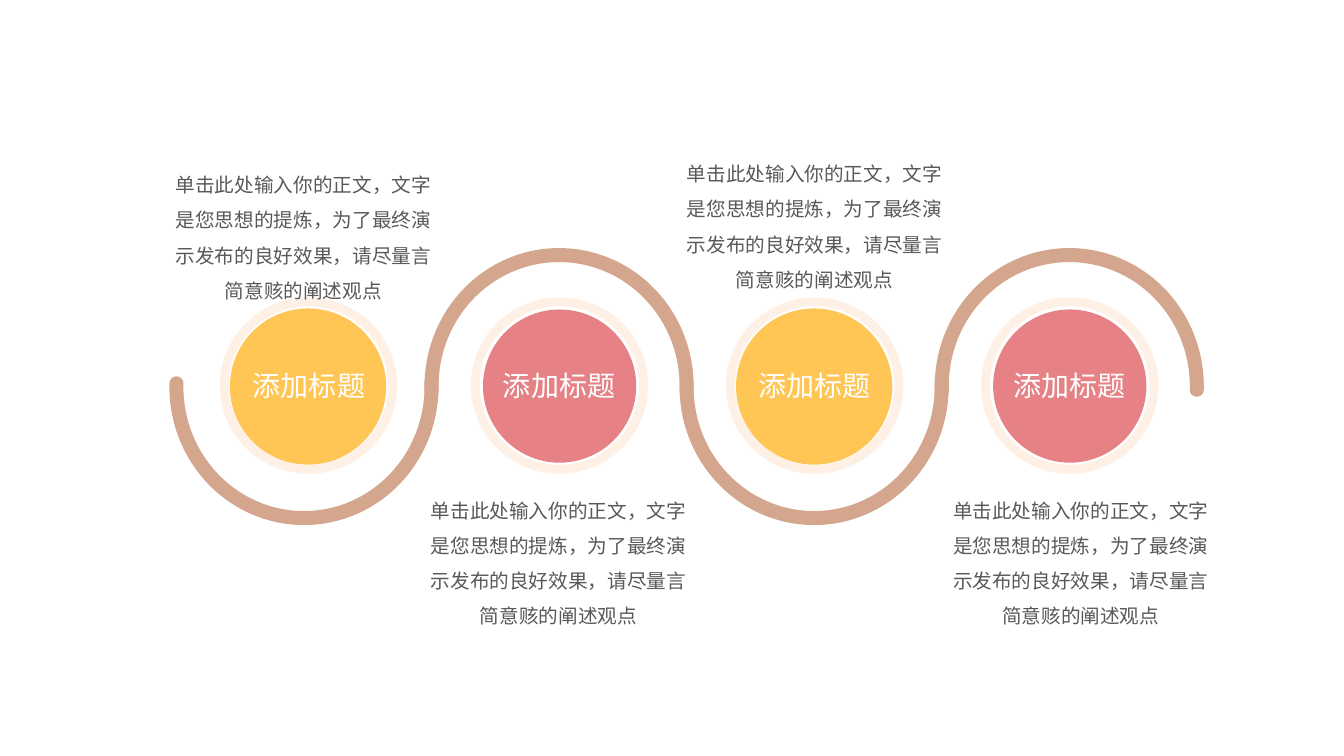
"""Build a four-stage wave timeline slide."""
from dataclasses import dataclass

from lxml import etree
from pptx import Presentation
from pptx import util as u
from pptx.dml.color import RGBColor
from pptx.enum import shapes, text
from pptx.oxml.ns import qn

PX = 9144
SAND, CREAM, YELLOW, PINK = "D4A68E", "FEF0E5", "FFC655", "E68285"
WHITE, GREY = "FFFFFF", "595959"
HEADING = "添加标题"
BODY = "单击此处输入你的正文，文字是您思想的提炼，为了最终演示发布的良好效果，请尽量言简意赅的阐述观点"
WAVE_LEFT, WAVE_WIDTH, WAVE_HEIGHT = 175, 253, 260
RING_TOP, RING_WIDTH, RING_HEIGHT = 295, 176, 175


@dataclass(frozen=True)
class Stage:
    """One stage of the wave with its disc and description."""

    ring_left: int
    disc_size: int
    disc_color: str
    heading_left: int
    body_left: int
    body_top: int
    crest: bool


STAGES = [
    Stage(218, 155, YELLOW, 236, 161, 155, False),
    Stage(467, 152, PINK, 484, 414, 478, True),
    Stage(720, 155, YELLOW, 737, 668, 144, False),
    Stage(973, 152, PINK, 990, 932, 478, True),
]


def rgb(color: str) -> RGBColor:
    """Turn a hex string into a colour."""
    return RGBColor.from_string(color)


def px(*lengths: int) -> list[int]:
    """Turn px lengths into EMU."""
    return [u.Emu(length * PX) for length in lengths]


def add_wave_arc(parent, index: int, crest: bool) -> None:
    """Draw one half wave, turned over for a crest."""
    box = px(WAVE_LEFT + index * WAVE_WIDTH, 253 if crest else 254, WAVE_WIDTH, WAVE_HEIGHT)
    arc = parent.add_shape(shapes.MSO_SHAPE.ARC, *box)
    arc.shadow.inherit = False
    arc.adjustments[0], arc.adjustments[1] = 214.5, 109
    arc.rotation = 180 if crest else 0
    arc.fill.background()
    arc.line.color.rgb = rgb(SAND)
    arc.line.width = u.Pt(10)
    arc.line.fill._xPr.set("cap", "rnd")


def add_plain_shape(parent, kind: shapes.MSO_SHAPE, box: list[int], color: str):
    """Draw a filled shape without outline."""
    shape = parent.add_shape(kind, *box)
    shape.shadow.inherit = False
    shape.fill.solid()
    shape.fill.fore_color.rgb = rgb(color)
    shape.line.fill.background()
    return shape


def add_label(parent, box: list[int], words: str, size: int, color: str,
              face: str, spacing: float, anchor: text.MSO_ANCHOR) -> None:
    """Write centred text in a box that grows with it."""
    frame = parent.add_textbox(*box).text_frame
    frame.word_wrap = True
    frame.auto_size = text.MSO_AUTO_SIZE.SHAPE_TO_FIT_TEXT
    frame.vertical_anchor = anchor
    paragraph = frame.paragraphs[0]
    paragraph.text = words
    paragraph.alignment = text.PP_ALIGN.CENTER
    paragraph.line_spacing = spacing
    for font in (paragraph.font, paragraph.runs[0].font):
        font.size = u.Pt(size)
        font.color.rgb = rgb(color)
        font.name = face
        etree.SubElement(font._element, qn("a:ea"), typeface=face)


def add_disc(parent, stage: Stage) -> None:
    """Draw the disc, its ring and its heading."""
    size = stage.disc_size
    disc_left = stage.ring_left + (RING_WIDTH - size) // 2
    disc_top = RING_TOP + (RING_HEIGHT - size) // 2 + 1
    add_plain_shape(parent, shapes.MSO_SHAPE.OVAL, px(disc_left, disc_top, size, size), stage.disc_color)
    ring = add_plain_shape(parent, shapes.MSO_SHAPE.DONUT,
                           px(stage.ring_left, RING_TOP, RING_WIDTH, RING_HEIGHT), CREAM)
    ring.adjustments[0] = 0.05
    add_label(parent, px(stage.heading_left, 360, 141, 44), HEADING, 20, WHITE,
              "Noto Sans CJK JP", 1.0, text.MSO_ANCHOR.MIDDLE)


def main() -> None:
    """Build and save the slide."""
    deck = Presentation()
    deck.slide_width, deck.slide_height = px(1333, 750)
    slide = deck.slides.add_slide(deck.slide_layouts[6])
    wave = slide.shapes.add_group_shape()
    for index, stage in sorted(enumerate(STAGES), key=lambda item: item[1].crest):
        add_wave_arc(wave.shapes, index, stage.crest)
    for stage in STAGES:
        add_disc(slide.shapes.add_group_shape().shapes, stage)
    for stage in STAGES:
        add_label(slide.shapes, px(stage.body_left, stage.body_top, 280, 151), BODY, 14, GREY,
                  "Calibri", 1.5, text.MSO_ANCHOR.TOP)
    deck.save("out.pptx")


if __name__ == "__main__":
    main()
